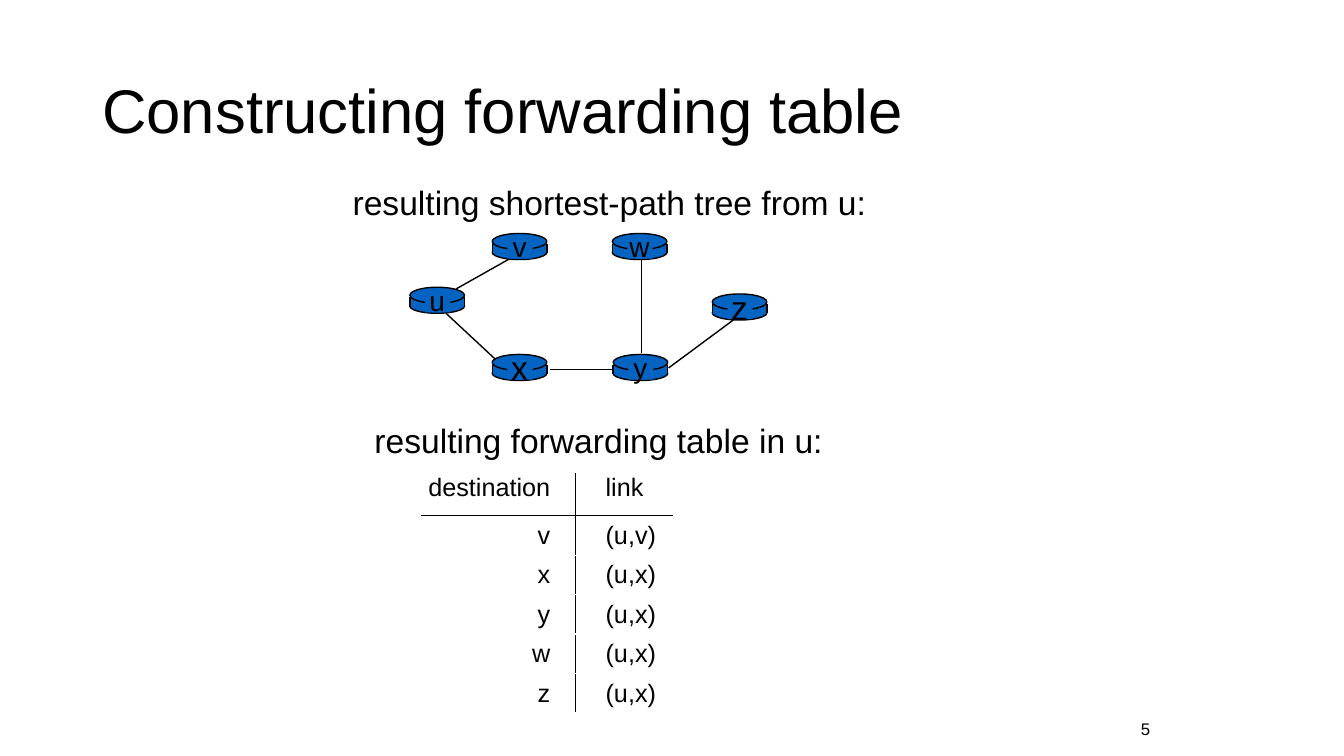
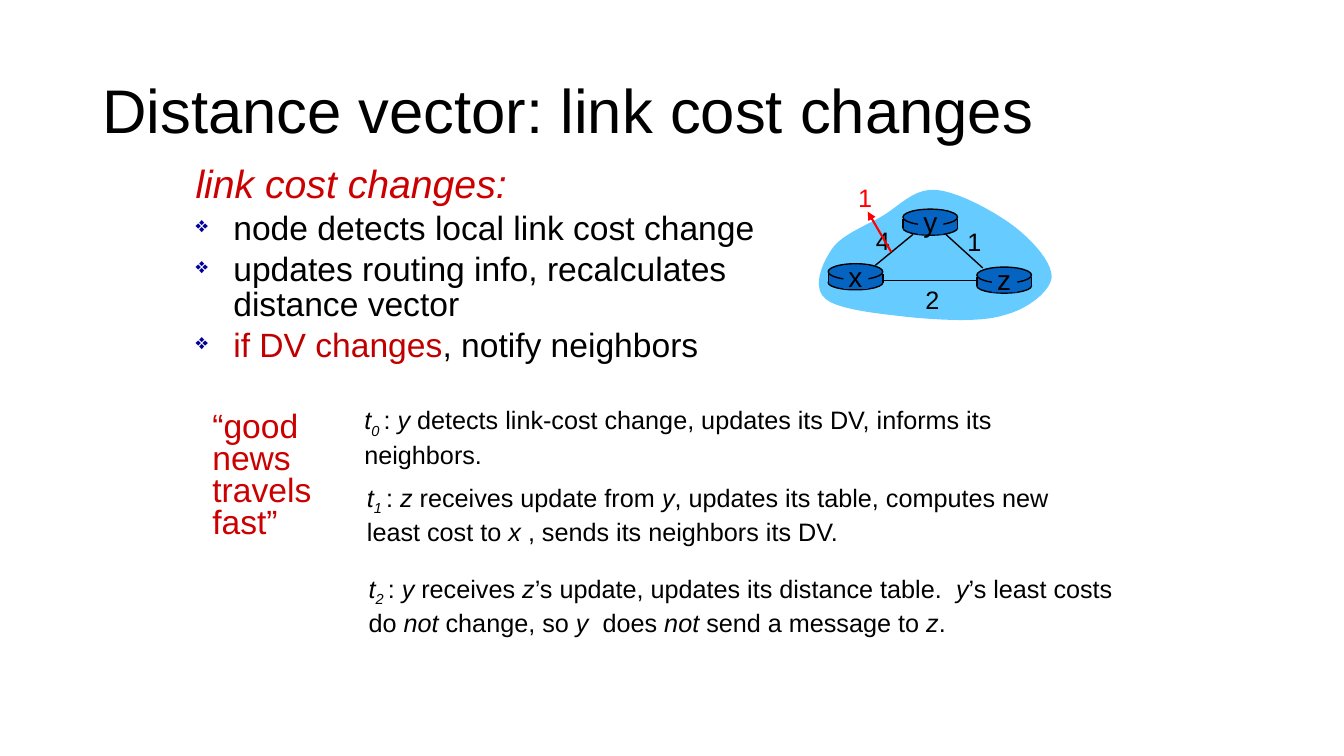
from pptx import Presentation
from pptx.dml.color import RGBColor
from pptx.enum.shapes import MSO_CONNECTOR, MSO_SHAPE
from pptx.enum.text import MSO_ANCHOR as ANCHOR, PP_ALIGN as ALIGN
from pptx.oxml.ns import qn
from pptx.oxml.xmlchemy import OxmlElement
from pptx.util import Pt

CELL = 76200
COLUMNS, ROWS = 160, 90
FONT = "Arial"
BLACK, ROUTER_BLUE, CLOUD_BLUE = "000000", "0563C1", "66CCFF"
RED, DARK_RED, ARROW_RED, BULLET_BLUE = "CC0000", "C00000", "FF0000", "000099"
ITALIC = {"italic": True}
TITLE_BOX = (11, 4.8, 138, 17.4)
PAGE_BOX = (130.9, 85, 7.2, 3.6)
ROUTER_W = 6.5


def grid(*lengths):
    return [round(length * CELL) for length in lengths]


def paint(color_format, value):
    color_format.rgb = RGBColor.from_string(value)


def add_xml(parent, tag, **attributes):
    element = OxmlElement(tag)
    for key, value in attributes.items():
        element.set(key, str(value))
    parent.append(element)
    return element


def set_all(target, values):
    for key, value in values.items():
        setattr(target, key, value)


def fill_paragraph(paragraph, runs, size, color, layout):
    set_all(paragraph, layout)
    for words, style in [(runs, {})] if isinstance(runs, str) else runs:
        run = paragraph.add_run()
        run.text = words
        look = {"name": FONT, "size": Pt(size), **style}
        paint(run.font.color, look.pop("ink", color))
        baseline = look.pop("baseline", None)
        set_all(run.font, look)
        if baseline:
            run.font._element.set("baseline", str(baseline))


def write(slide, box, paragraphs, size=18, color=BLACK, anchor=ANCHOR.TOP, **layout):
    frame = slide.shapes.add_textbox(*grid(*box)).text_frame
    set_all(frame, {"word_wrap": True, "vertical_anchor": anchor})
    for index, runs in enumerate(paragraphs):
        paragraph = frame.add_paragraph() if index else frame.paragraphs[0]
        fill_paragraph(paragraph, runs, size, color, layout)
    return frame.paragraphs


def label(slide, x, y, words, size=18, color=BLACK):
    write(slide, (x - 3, y - 2.5, 6, 5), [words], size, color,
          ANCHOR.MIDDLE, alignment=ALIGN.CENTER)


def line(slide, start, end, color=BLACK, width=1, arrow=False):
    connector = slide.shapes.add_connector(
        MSO_CONNECTOR.STRAIGHT, *grid(*start, *end))
    paint(connector.line.color, color)
    connector.line.width = Pt(width)
    properties = connector._element.spPr
    if arrow:
        add_xml(properties.find(qn("a:ln")), "a:tailEnd", type="triangle")
    add_xml(properties, "a:effectLst")


def finish(shape, fill, outlined=False):
    shape.shadow.inherit = False
    shape.fill.solid()
    paint(shape.fill.fore_color, fill)
    if outlined:
        paint(shape.line.color, BLACK)
        shape.line.width = Pt(1)
    else:
        shape.line.fill.background()


def router(slide, x, y, name, size):
    def part(kind, dx, dy, width, height, outlined):
        shape = slide.shapes.add_shape(kind, *grid(x + dx, y + dy, width, height))
        finish(shape, ROUTER_BLUE, outlined)

    part(MSO_SHAPE.OVAL, 0, 1.4, ROUTER_W, 1.7, True)
    part(MSO_SHAPE.RECTANGLE, 0, 1.2, ROUTER_W, 1.1, False)
    for side in (x, x + ROUTER_W):
        line(slide, (side, y + 1.2), (side, y + 2.3))
    part(MSO_SHAPE.OVAL, 0, 0, ROUTER_W, 1.9, True)
    part(MSO_SHAPE.RECTANGLE, 1.8, 0.2, 3, 2.8, False)
    label(slide, x + ROUTER_W / 2, y + 1.5, name, size)


def network(slide, left, top, routers, links):
    for x1, y1, x2, y2 in links:
        line(slide, (left + x1, top + y1), (left + x2, top + y2))
    for name, x, y, size in routers:
        router(slide, left + x, top + y, name, size)


def cloud(slide, left, top, start, curves, steps=10):
    points, origin = [], start
    for c1, c2, end in curves:
        for step in range(1, steps + 1):
            t = step / steps
            weights = ((1 - t) ** 3, 3 * t * (1 - t) ** 2, 3 * t * t * (1 - t), t ** 3)
            corners = (origin, c1, c2, end)
            points.append(grid(
                left + sum(w * c[0] for w, c in zip(weights, corners)),
                top + sum(w * c[1] for w, c in zip(weights, corners))))
        origin = end
    builder = slide.shapes.build_freeform(*points[-1], scale=1.0)
    builder.add_line_segments(points[:-1], close=True)
    finish(builder.convert_to_shape(), CLOUD_BLUE)


def border(cell, *sides):
    properties = cell._tc.get_or_add_tcPr()
    for side in sides:
        edge = add_xml(properties, f"a:ln{side}", w=Pt(0.75))
        add_xml(add_xml(edge, "a:solidFill"), "a:srgbClr", val=BLACK)


def forwarding_table(slide, left, top, rows):
    widths, header_height, row_height = (18.3, 11.6), 5, 4.7
    frame = slide.shapes.add_table(
        len(rows), 2, *grid(left, top, sum(widths), header_height + row_height * (len(rows) - 1)))
    table = frame.table
    set_all(table, {"first_row": False, "horz_banding": False})
    for column, width in zip(table.columns, widths):
        column.width = grid(width)[0]
    for r, row in enumerate(rows):
        table.rows[r].height = grid(row_height if r else header_height)[0]
        for c, words in enumerate(row):
            cell = table.cell(r, c)
            border(cell, "L" if c else "R", *{0: "B", 1: "T"}.get(r, ""))
            cell.fill.background()
            right, left_gap = grid(0 if c else 3, 3.6 if c else 0)
            set_all(cell, {"margin_left": left_gap, "margin_right": right,
                           "margin_top": 0, "margin_bottom": 0,
                           "vertical_anchor": ANCHOR.MIDDLE if r else ANCHOR.TOP})
            fill_paragraph(cell.text_frame.paragraphs[0], words, 18, BLACK,
                           {"alignment": ALIGN.LEFT if c else ALIGN.RIGHT})


def link_changes(slide, box):
    heading, *points = write(slide, box, [
        [("link cost changes:", {"size": Pt(28), "ink": RED, **ITALIC})],
        "node detects local link cost change",
        "updates routing info, recalculates distance vector",
        [("if DV changes", {"ink": DARK_RED}), (", notify neighbors", {})],
    ], 24, line_spacing=0.85, space_before=Pt(5))
    indent = grid(4.5)[0]
    for point in points:
        properties = point._p.get_or_add_pPr()
        properties.set("marL", str(indent))
        properties.set("indent", str(-indent))
        add_xml(add_xml(properties, "a:buClr"), "a:srgbClr", val=BULLET_BLUE)
        add_xml(properties, "a:buSzPct", val=65000)
        add_xml(properties, "a:buChar", char="❖")


def time_step(slide, box, moment, account):
    runs = [("t", ITALIC), (f"{moment} ", {"baseline": -25000, **ITALIC})]
    runs += [(words, ITALIC if i % 2 else {})
             for i, words in enumerate(account.split("*"))]
    write(slide, box, [runs])


def titled_slide(deck, title):
    slide = deck.slides.add_slide(deck.slide_layouts[6])
    write(slide, TITLE_BOX, [title], 44, anchor=ANCHOR.MIDDLE, line_spacing=0.9)
    return slide


def forwarding_slide(deck):
    slide = titled_slide(deck, "Constructing forwarding table")
    write(slide, (40.8, 21.1, 70, 6), ["resulting shortest-path tree from u:"], 24)
    network(
        slide, 48.8, 27.8,
        [("u", 0, 6.4, 20), ("x", 9.8, 14.4, 24), ("v", 9.8, 0, 20),
         ("w", 24.1, 0, 20), ("y", 24.2, 14.4, 20), ("z", 36, 7.2, 24)],
        [(5.5, 6.6, 12.6, 2.6), (4.3, 9.5, 10.1, 14.9), (16.7, 16.2, 24.4, 16.2),
         (27.6, 3.2, 27.6, 14.2), (30.8, 16, 38.5, 10.3)])
    write(slide, (43.4, 49.4, 62, 6), ["resulting forwarding table in u:"], 24)
    forwarding_table(slide, 50.2, 56.4, [
        ("destination", "link"), ("v", "(u,v)"), ("x", "(u,x)"),
        ("y", "(u,x)"), ("w", "(u,x)"), ("z", "(u,x)")])
    write(slide, PAGE_BOX, ["5"], 12, anchor=ANCHOR.MIDDLE, alignment=ALIGN.RIGHT)


def cost_network(slide, left, top):
    cloud(slide, left, top, (2.4, 7.3), [
        ((3.5, 5.6), (6.2, 4.6), (8.3, 3.4)),
        ((10.3, 2.3), (12.1, 0), (14.8, 0.2)),
        ((17.5, 0.4), (22, 2.9), (24.2, 4.6)),
        ((26.5, 6.4), (28.7, 8.9), (28.6, 10.7)),
        ((28.3, 12.4), (25.7, 14.4), (23, 15.1)),
        ((20.3, 16), (15.6, 15.7), (12.1, 15.4)),
        ((8.5, 15), (3.2, 14.5), (1.7, 13.2)),
        ((0, 11.8), (1.3, 8.9), (2.4, 7.3))])
    network(
        slide, left, top,
        [("x", 2, 9, 20), ("z", 19.7, 9.4, 20), ("y", 10.9, 2.5, 20)],
        [(7.6, 9.2, 12.1, 5.5), (16, 5.5, 20.4, 9.5), (8.6, 11, 19.9, 11)])
    for cost, x, y, color in [("1", 19.4, 6.4, BLACK), ("4", 8.5, 6.2, BLACK),
                              ("2", 14.4, 13.2, BLACK), ("1", 6.4, 1.1, ARROW_RED)]:
        label(slide, left + x, top + y, cost, color=color)
    line(slide, (left + 9.5, top + 7.6), (left + 6.7, top + 2.8), ARROW_RED, 1.5, True)


def distance_slide(deck):
    slide = titled_slide(deck, "Distance vector: link cost changes")
    link_changes(slide, (22.1, 19.2, 79, 33.1))
    write(slide, (24.1, 48.5, 16, 16.8), ["“good", "news", "travels", "fast”"],
          24, RED, line_spacing=0.8)
    cost_network(slide, 96.6, 22.4)
    steps = [
        (42.2, 47.6, 87.8, ": *y* detects link-cost change, updates its DV, "
         "informs its neighbors."),
        (42.5, 56.8, 85.3, ": *z* receives update from *y*, updates its table, "
         "computes new least cost to *x* , sends its neighbors its DV."),
        (42.7, 67.6, 94, ": *y* receives *z*’s update, updates its distance table.  "
         "*y*’s least costs do *not* change, so *y*  does *not* send a message to *z*."),
    ]
    for moment, (left, top, width, account) in enumerate(steps):
        time_step(slide, (left, top, width, 8.5), moment, account)


deck = Presentation()
deck.slide_width, deck.slide_height = grid(COLUMNS, ROWS)
forwarding_slide(deck)
distance_slide(deck)
deck.save("out.pptx")
